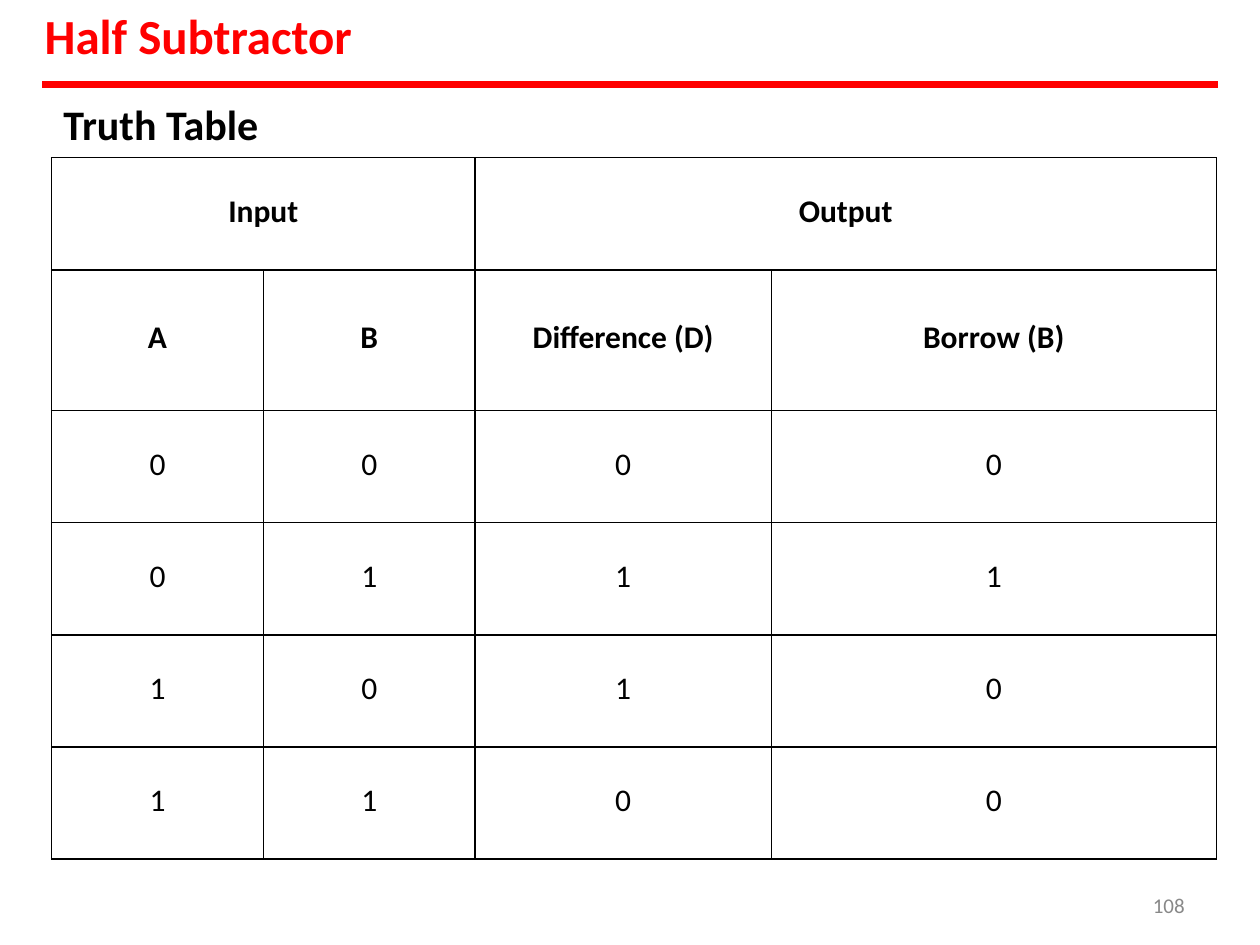
from lxml import etree
from pptx import Presentation
from pptx.dml.color import RGBColor
from pptx.enum import shapes, text
from pptx.oxml import ns
from pptx.util import Cm, Pt

HUES = {"red": "FF0000", "ink": "000000", "gray": "888888"}
COLS = (4.27, 4.27, 5.97, 8.97)
ROWS = (2.26, 2.84, 2.26, 2.26, 2.26, 2.26)
DATA = (
    ("Input", "", "Output", ""),
    ("A", "B", "Difference (D)", "Borrow (B)"),
    ("0", "0", "0", "0"),
    ("0", "1", "1", "1"),
    ("1", "0", "1", "0"),
    ("1", "1", "0", "0"),
)


def style(para, size, hue, bold=False):
    """Set the font of every run in a paragraph."""
    for run in para.runs:
        font = run.font
        font.name, font.size, font.bold = "Calibri", Pt(size), bold
        font.color.rgb = RGBColor.from_string(HUES[hue])


def label(shape, words, box, size, hue, bold=False):
    """Place a shape and fill it with one line of text."""
    shape.left, shape.top, shape.width, shape.height = map(Cm, box)
    frame = shape.text_frame
    frame.text = words
    frame.word_wrap = True
    frame.auto_size = text.MSO_AUTO_SIZE.NONE
    frame.vertical_anchor = text.MSO_ANCHOR.TOP
    frame.margin_left = frame.margin_right = frame.margin_bottom = 0
    frame.margin_top = Cm(0.03)
    para = frame.paragraphs[0]
    para.alignment = text.PP_ALIGN.LEFT
    style(para, size, hue, bold)


def rule(slide, left, top, width):
    """Draw the red line below the title."""
    line = slide.shapes.add_connector(
        shapes.MSO_CONNECTOR.STRAIGHT, Cm(left), Cm(top), Cm(left + width), Cm(top))
    line.line.color.rgb = RGBColor.from_string(HUES["red"])
    line.line.width = Pt(4)
    etree.SubElement(line._element.spPr, ns.qn("a:effectLst"))


def border(cell):
    """Give a cell thin lines on all sides and no fill."""
    props = cell._tc.get_or_add_tcPr()
    for side in ("lnL", "lnR", "lnT", "lnB"):
        edge = etree.SubElement(props, ns.qn("a:" + side), w=str(Pt(1)))
        fill = etree.SubElement(edge, ns.qn("a:solidFill"))
        etree.SubElement(fill, ns.qn("a:srgbClr"), val=HUES["ink"])
    cell.fill.background()


def grid(slide, left, top):
    """Build the truth table with its merged heads."""
    frame = slide.shapes.add_table(
        len(ROWS), len(COLS), Cm(left), Cm(top), Cm(sum(COLS)), Cm(sum(ROWS)))
    table = frame.table
    table.first_row = table.horz_banding = False
    for col, width in zip(table.columns, COLS):
        col.width = Cm(width)
    for row, height, words in zip(table.rows, ROWS, DATA):
        row.height = Cm(height)
        for cell, word in zip(row.cells, words):
            cell.text = word
            cell.margin_left = cell.margin_right = cell.margin_top = 0
            cell.margin_bottom = Cm(0.1)
            cell.vertical_anchor = text.MSO_ANCHOR.MIDDLE
            para = cell.text_frame.paragraphs[0]
            para.alignment = text.PP_ALIGN.CENTER
            style(para, 18, "ink", words in DATA[:2])
            border(cell)
    for col in (0, 2):
        table.cell(0, col).merge(table.cell(0, col + 1))


def main():
    """Build and save the slide."""
    deck = Presentation()
    deck.slide_width, deck.slide_height = Cm(25.4), Cm(19.05)
    slide = deck.slides.add_slide(deck.slide_layouts.get_by_name("Title Only"))
    label(slide.shapes.title, "Half Subtractor", (0.9, 0.08, 8, 1.27), 28, "red", True)
    rule(slide, 0.85, 1.7, 23.7)
    grid(slide, 1.04, 3.18)
    head = slide.shapes.add_textbox(0, 0, 0, 0)
    label(head, "Truth Table", (1.28, 1.96, 5, 1.09), 24, "ink", True)
    page = slide.shapes.add_textbox(0, 0, 0, 0)
    label(page, "108", (23.24, 17.96, 0.84, 0.5), 12, "gray")
    deck.save("out.pptx")


if __name__ == "__main__":
    main()
